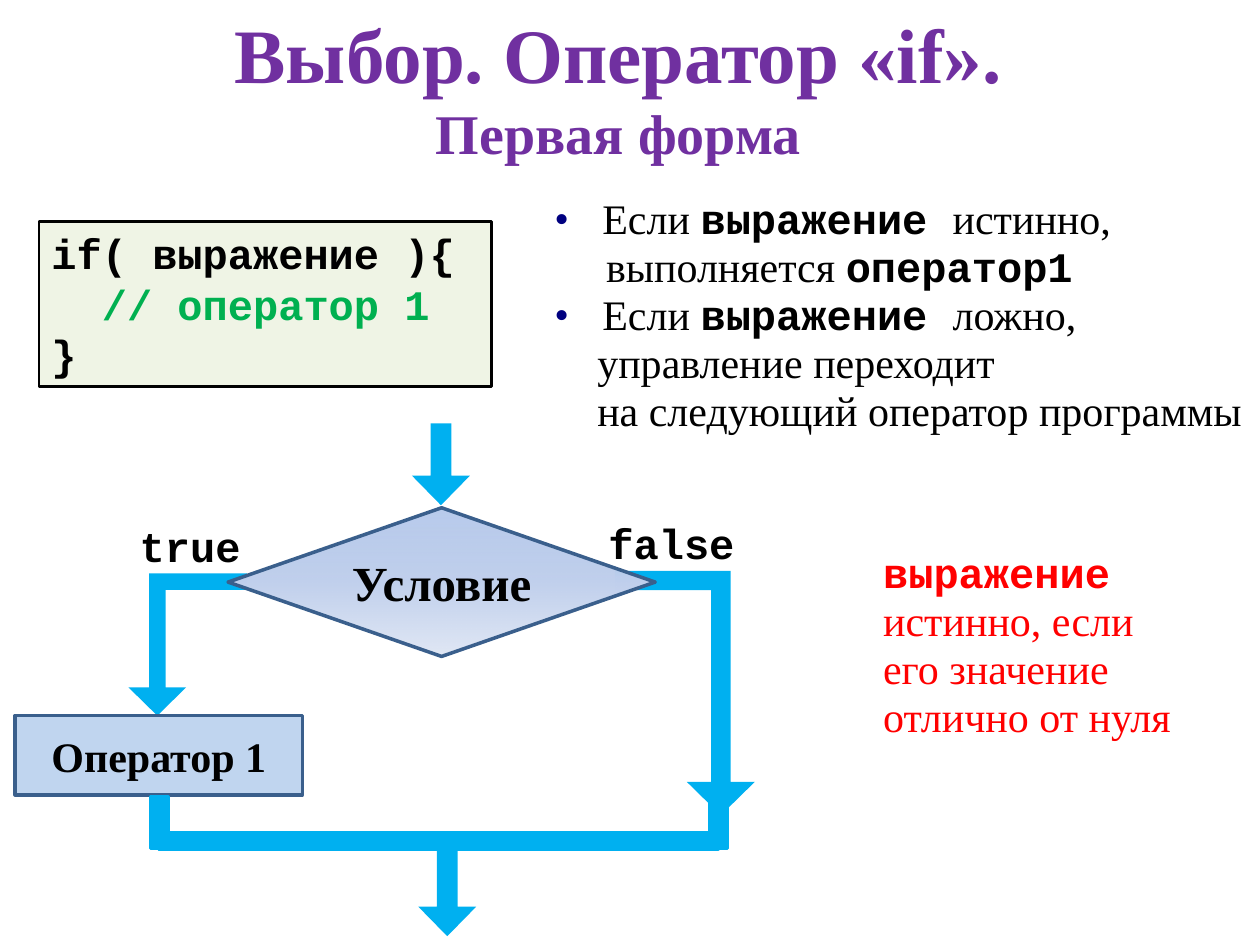
from lxml import etree
from pptx import Presentation
from pptx.dml.color import RGBColor
from pptx.enum.dml import MSO_FILL
from pptx.enum.shapes import MSO_SHAPE
from pptx.enum.text import MSO_ANCHOR, MSO_AUTO_SIZE, PP_ALIGN
from pptx.oxml.ns import qn
from pptx.util import Inches, Pt

RECT = MSO_SHAPE.RECTANGLE
DIAMOND = MSO_SHAPE.DIAMOND
DOWN_ARROW = MSO_SHAPE.DOWN_ARROW
BENT_ARROW = MSO_SHAPE.BENT_UP_ARROW
SOLID = MSO_FILL.SOLID
TOP, MIDDLE = MSO_ANCHOR.TOP, MSO_ANCHOR.MIDDLE
NO_FIT = MSO_AUTO_SIZE.NONE
LEFT, CENTER = PP_ALIGN.LEFT, PP_ALIGN.CENTER

SERIF, MONO = "Times New Roman", "Courier New"
COLORS = {
    "title": "7030A0", "text": "000000", "bullet": "000080",
    "comment": "00B050", "note": "FF0000", "arrow": "00B0F0",
    "edge": "3A5F8C", "action": "8EB4E3", "code": "D7E4BD",
}
CONDITION_STOPS = [(0, "ABC1E9", 83), (52, "C2D1ED", 100), (100, "E1E8F5", 100)]
BENT_ADJUST = (0.139, 0.243, 0.239)
DOWN_ADJUST = (0.357, 0.51)


def rgb(name):
    return RGBColor.from_string(COLORS[name])


def add_child(parent, tag, **attributes):
    child = etree.SubElement(parent, qn(tag))
    for key, value in attributes.items():
        child.set(key, str(value))
    return child


def move(item, box):
    item.left, item.top, item.width, item.height = [Inches(v) for v in box]


def set_opacity(shape, percent):
    color = shape.element.spPr.find(qn("a:solidFill"))[0]
    add_child(color, "a:alpha", val=percent * 1000)


def set_gradient(shape, stops):
    shape.fill.gradient()
    shape.fill.gradient_angle = 270
    stop_list = shape.element.spPr.find(qn("a:gradFill")).find(qn("a:gsLst"))
    for old in list(stop_list):
        stop_list.remove(old)
    for position, color, opacity in stops:
        stop = add_child(stop_list, "a:gs", pos=position * 1000)
        span = add_child(stop, "a:srgbClr", val=color)
        add_child(span, "a:alpha", val=opacity * 1000)


def add_block(page, kind, box, fill="arrow", line=None, weight=2,
              adjust=(), rotation=0):
    shape = page.shapes.add_shape(kind, *[Inches(v) for v in box])
    shape.shadow.inherit = False
    shape.fill.solid()
    shape.fill.fore_color.rgb = rgb(fill)
    if line:
        shape.line.color.rgb = rgb(line)
        shape.line.width = Pt(weight)
    else:
        shape.line.fill.background()
    for index, value in enumerate(adjust):
        shape.adjustments[index] = value
    shape.rotation = rotation
    return shape


def set_frame(item, anchor=TOP, top=0.05):
    frame = item.text_frame
    frame.word_wrap = True
    frame.auto_size = NO_FIT
    frame.vertical_anchor = anchor
    frame.margin_left = frame.margin_right = Inches(0.1)
    frame.margin_top, frame.margin_bottom = Inches(top), Inches(0.05)
    return frame


def add_span(para, text, font=SERIF, bold=False, color="text", size=24):
    span = para.add_run()
    span.text = text
    span.font.name = font
    span.font.bold = bold
    span.font.size = Pt(size)
    span.font.color.rgb = rgb(color)


def add_para(frame, spans, align=LEFT, margin=0, indent=0, spacing=1.0):
    para = frame.paragraphs[0]
    if para.runs:
        para = frame.add_paragraph()
    para.alignment = align
    para.line_spacing = spacing
    para.space_before = Pt(0)
    properties = para._p.get_or_add_pPr()
    properties.set("marL", str(Inches(margin)))
    properties.set("indent", str(Inches(indent)))
    for text, style in spans:
        add_span(para, text, **style)
    return para


def set_bullet(para, shown):
    properties = para._p.get_or_add_pPr()
    if not shown:
        add_child(properties, "a:buNone")
        return
    add_child(add_child(properties, "a:buClr"), "a:srgbClr", val=COLORS["bullet"])
    add_child(properties, "a:buFont", typeface=SERIF)
    add_child(properties, "a:buChar", char="•")


def fill_title(title, box):
    move(title, box)
    frame = set_frame(title, MIDDLE)
    style = {"bold": True, "color": "title"}
    para = add_para(frame, [("Выбор. Оператор «if».", {**style, "size": 44})], CENTER)
    para.add_line_break()
    add_span(para, "Первая форма", size=32, **style)


def fill_rules(body, box):
    move(body, box)
    frame = set_frame(body, top=0.08)
    code = {"font": MONO, "bold": True}
    rules = [
        (0.49, True, [("Если ", {}), ("выражение ", code), ("истинно,", {})]),
        (0.52, False, [("выполняется ", {}), ("оператор1", code)]),
        (0.49, True, [("Если ", {}), ("выражение ", code), ("ложно,", {})]),
        (0.45, False, [("управление переходит", {})]),
        (0.45, False, [("на следующий оператор программы", {})]),
    ]
    for margin, bulleted, spans in rules:
        indent = -0.38 if bulleted else 0
        para = add_para(frame, spans, margin=margin, indent=indent, spacing=0.95)
        set_bullet(para, bulleted)


def add_code(page, box):
    shape = add_block(page, RECT, box, "code", "text", 1.5)
    set_opacity(shape, 39)
    frame = set_frame(shape)
    lines = [("if( выражение ){", 0, "text"), ("// оператор 1", 0.4, "comment"),
             ("}", 0, "text")]
    for text, margin, color in lines:
        style = {"font": MONO, "bold": True, "color": color}
        add_para(frame, [(text, style)], margin=margin)


def add_text(page, box, spans, top=0.05, spacing=1.0):
    frame = set_frame(page.shapes.add_textbox(*[Inches(v) for v in box]), top=top)
    add_para(frame, spans, margin=0.12, spacing=spacing)


def add_node_text(shape, text, size):
    frame = set_frame(shape, MIDDLE)
    add_para(frame, [(text, {"bold": True, "size": size})], CENTER)


def add_flowchart(page, left, top):
    def at(x, y, width, height):
        return left + x, top + y, width, height

    false_arrow = add_block(page, BENT_ARROW, at(4.76, 1.17, 1.11, 1.94),
                            adjust=BENT_ADJUST, rotation=180)
    false_arrow.element.spPr.xfrm.set("flipH", "1")
    add_block(page, BENT_ARROW, at(0.9, 1.19, 0.94, 1.13),
              adjust=BENT_ADJUST, rotation=180)

    condition = add_block(page, DIAMOND, at(1.69, 0.67, 3.39, 1.18), line="edge")
    set_gradient(condition, CONDITION_STOPS)
    add_node_text(condition, "Условие", 28)

    action = add_block(page, RECT, at(0, 2.32, 2.28, 0.63), "action", "edge")
    set_opacity(action, 55)
    add_node_text(action, "Оператор 1", 24)

    for x, y, height in [(3.15, 0, 0.65), (3.2, 3.38, 0.69)]:
        add_block(page, DOWN_ARROW, at(x, y, 0.46, height), adjust=DOWN_ADJUST)
    add_block(page, RECT, at(1.14, 3.25, 4.44, 0.13), line="arrow")
    for x in (0.94, 5.38):
        add_block(page, RECT, at(x, 3.1, 0.41, 0.14), line="arrow", rotation=90)

    label = {"font": MONO, "bold": True}
    add_text(page, at(0.77, 0.69, 1.22, 0.49), [("true", label)], 0.08)
    add_text(page, at(4.49, 0.67, 1.41, 0.49), [("false", label)], 0.08)


def add_note(page, box):
    spans = [
        ("выражение ", {"font": MONO, "bold": True, "color": "note"}),
        ("истинно, если его значение отлично от нуля", {"color": "note"}),
    ]
    add_text(page, box, spans, spacing=0.95)


def main():
    deck = Presentation()
    deck.slide_width, deck.slide_height = Inches(10), Inches(7.5)
    page = deck.slides.add_slide(deck.slide_layouts[1])
    fill_title(page.shapes.title, (0.41, 0.06, 9, 1.25))
    fill_rules(page.placeholders[1], (4.19, 1.48, 5.85, 2.27))
    add_flowchart(page, 0.12, 3.36)
    add_code(page, (0.31, 1.76, 3.59, 1.31))
    add_note(page, (6.79, 4.32, 2.81, 1.64))
    deck.save("out.pptx")


if __name__ == "__main__":
    main()
